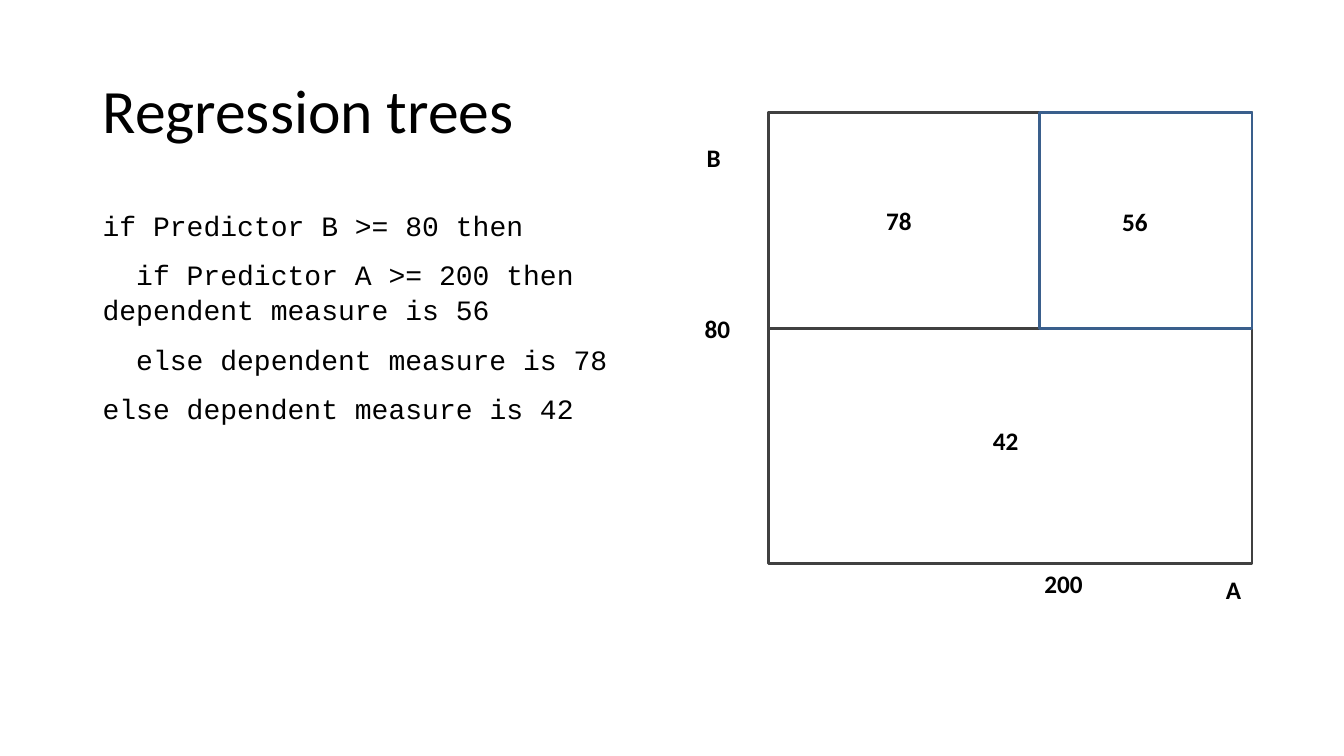
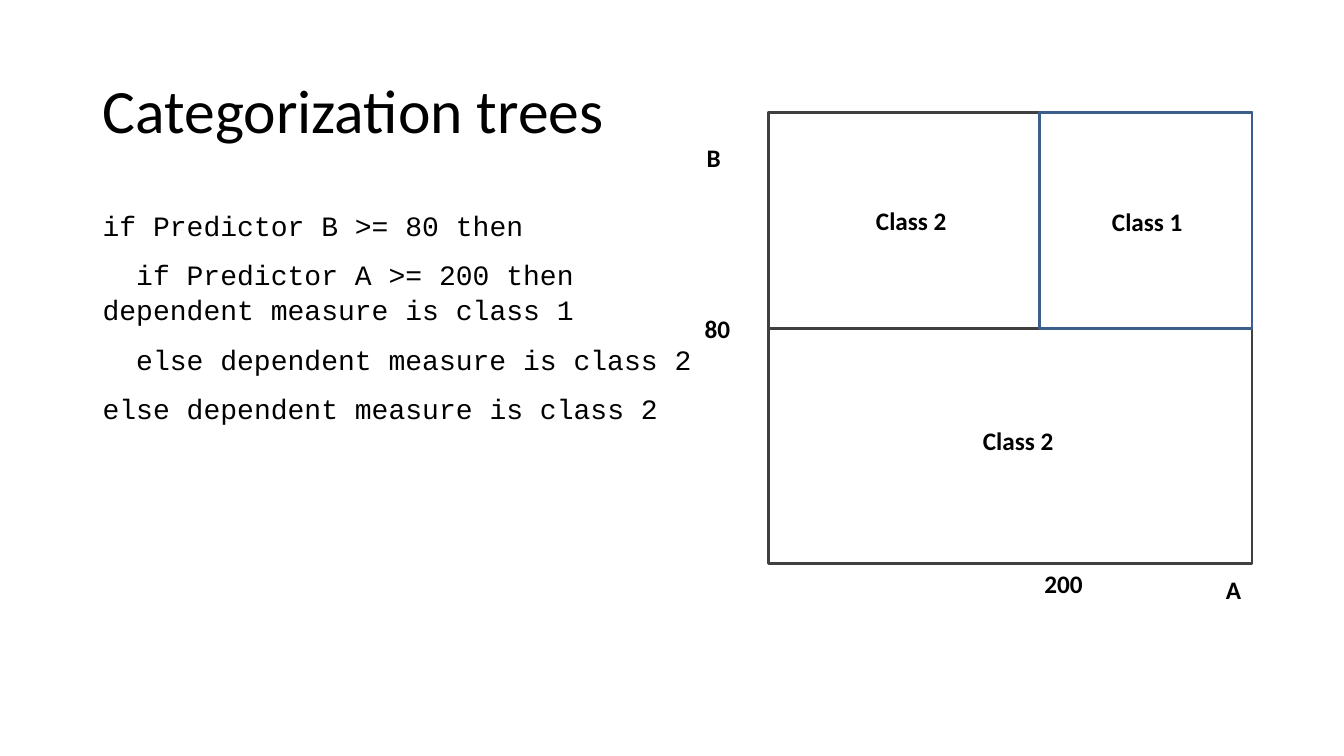
from dataclasses import dataclass
from typing import NamedTuple

from pptx import Presentation
from pptx import util as u
from pptx.dml import color
from pptx.enum import shapes, text

SLIDE_WIDTH = u.Inches(13.33)
SLIDE_HEIGHT = u.Inches(7.5)


class Box(NamedTuple):
    """Left, top, width and height in percent of the slide."""

    left: float
    top: float
    width: float
    height: float

    def lengths(self) -> tuple[int, int, int, int]:
        return (
            round(self.left * SLIDE_WIDTH / 100),
            round(self.top * SLIDE_HEIGHT / 100),
            round(self.width * SLIDE_WIDTH / 100),
            round(self.height * SLIDE_HEIGHT / 100),
        )


@dataclass(frozen=True)
class TextStyle:
    font: str
    size: int
    bold: bool = False
    anchor: text.MSO_ANCHOR = text.MSO_ANCHOR.TOP
    line_spacing: float = 1.0
    space_before: int = 0


@dataclass(frozen=True)
class Theme:
    ink: str = "000000"
    frame: str = "404040"
    accent: str = "3A5F8C"
    line_width: int = 2
    code_indent: int = 24
    title: TextStyle = TextStyle("Calibri", 44, anchor=text.MSO_ANCHOR.MIDDLE, line_spacing=0.9)
    code: TextStyle = TextStyle("Courier New", 20, line_spacing=1.05, space_before=10)
    label: TextStyle = TextStyle("Calibri", 18, bold=True)


class Line(NamedTuple):
    words: str
    level: int = 0


class Label(NamedTuple):
    words: str
    left: float
    top: float
    width: float


class Region(NamedTuple):
    box: Box
    line_color: str


@dataclass(frozen=True)
class TreeSlide:
    title: str
    high_b_high_a: str
    high_b_low_a: str
    low_b: str
    prefix: str = ""
    label_width: float = 4.05
    label_shift: float = 0.0

    def code_lines(self) -> list[Line]:
        outcome = f"dependent measure is {self.prefix.lower()}"
        return [
            Line("if Predictor B >= 80 then"),
            Line(f"if Predictor A >= 200 then {outcome}{self.high_b_high_a}", 1),
            Line(f"else {outcome}{self.high_b_low_a}", 1),
            Line(f"else {outcome}{self.low_b}"),
        ]

    def region_labels(self) -> list[Label]:
        places = [
            (self.high_b_high_a, 82.75, 26.67),
            (self.high_b_low_a, 65.19, 26.53),
            (self.low_b, 73.14, 55.6),
        ]
        return [
            Label(self.prefix + value, left + self.label_shift, top, self.label_width)
            for value, left, top in places
        ]


THEME = Theme()
TITLE_BOX = Box(6.9, 5.33, 86.27, 19.33)
CODE_BOX = Box(6.9, 26.67, 47.71, 63.47)
LABEL_HEIGHT = 5.33

PLOT = Box(57.16, 14.93, 36, 59.6)
SPLIT_A = 77.34
SPLIT_B = 43.47
UPPER = PLOT._replace(height=SPLIT_B - PLOT.top)
UPPER_RIGHT = UPPER._replace(left=SPLIT_A, width=PLOT.left + PLOT.width - SPLIT_A)
REGIONS = [
    Region(PLOT, THEME.frame),
    Region(UPPER, THEME.frame),
    Region(UPPER_RIGHT, THEME.accent),
]
AXIS_LABELS = [
    Label("B", 51.84, 18.13, 2.93),
    Label("A", 90.47, 75.33, 2.93),
    Label("80", 51.69, 40.8, 4.05),
    Label("200", 76.97, 74.53, 5.4),
]
TREE_SLIDES = [
    TreeSlide("Regression trees", "56", "78", "42"),
    TreeSlide(
        "Categorization trees", "1", "2", "2",
        prefix="Class ", label_width=8.93, label_shift=-0.75,
    ),
]


def add_text(slide, box: Box, lines: list[Line], style: TextStyle) -> None:
    frame = slide.shapes.add_textbox(*box.lengths()).text_frame
    frame.word_wrap = True
    frame.vertical_anchor = style.anchor
    for index, line in enumerate(lines):
        paragraph = frame.add_paragraph() if index else frame.paragraphs[0]
        paragraph.line_spacing = style.line_spacing
        paragraph.space_before = u.Pt(style.space_before)
        if line.level:
            indent = u.Pt(THEME.code_indent * line.level)
            paragraph._p.get_or_add_pPr().set("indent", str(indent))
        run = paragraph.add_run()
        run.text = line.words
        run.font.name = style.font
        run.font.size = u.Pt(style.size)
        run.font.bold = style.bold
        run.font.color.rgb = color.RGBColor.from_string(THEME.ink)


def add_region(slide, region: Region) -> None:
    shape = slide.shapes.add_shape(shapes.MSO_SHAPE.RECTANGLE, *region.box.lengths())
    shape.shadow.inherit = False
    shape.fill.background()
    shape.line.color.rgb = color.RGBColor.from_string(region.line_color)
    shape.line.width = u.Pt(THEME.line_width)


def add_tree_slide(presentation, tree: TreeSlide) -> None:
    slide = presentation.slides.add_slide(presentation.slide_layouts[6])
    add_text(slide, TITLE_BOX, [Line(tree.title)], THEME.title)
    add_text(slide, CODE_BOX, tree.code_lines(), THEME.code)
    for region in REGIONS:
        add_region(slide, region)
    for label in AXIS_LABELS + tree.region_labels():
        box = Box(label.left, label.top, label.width, LABEL_HEIGHT)
        add_text(slide, box, [Line(label.words)], THEME.label)


def main() -> None:
    presentation = Presentation()
    presentation.slide_width = SLIDE_WIDTH
    presentation.slide_height = SLIDE_HEIGHT
    for tree in TREE_SLIDES:
        add_tree_slide(presentation, tree)
    presentation.save("out.pptx")


if __name__ == "__main__":
    main()
